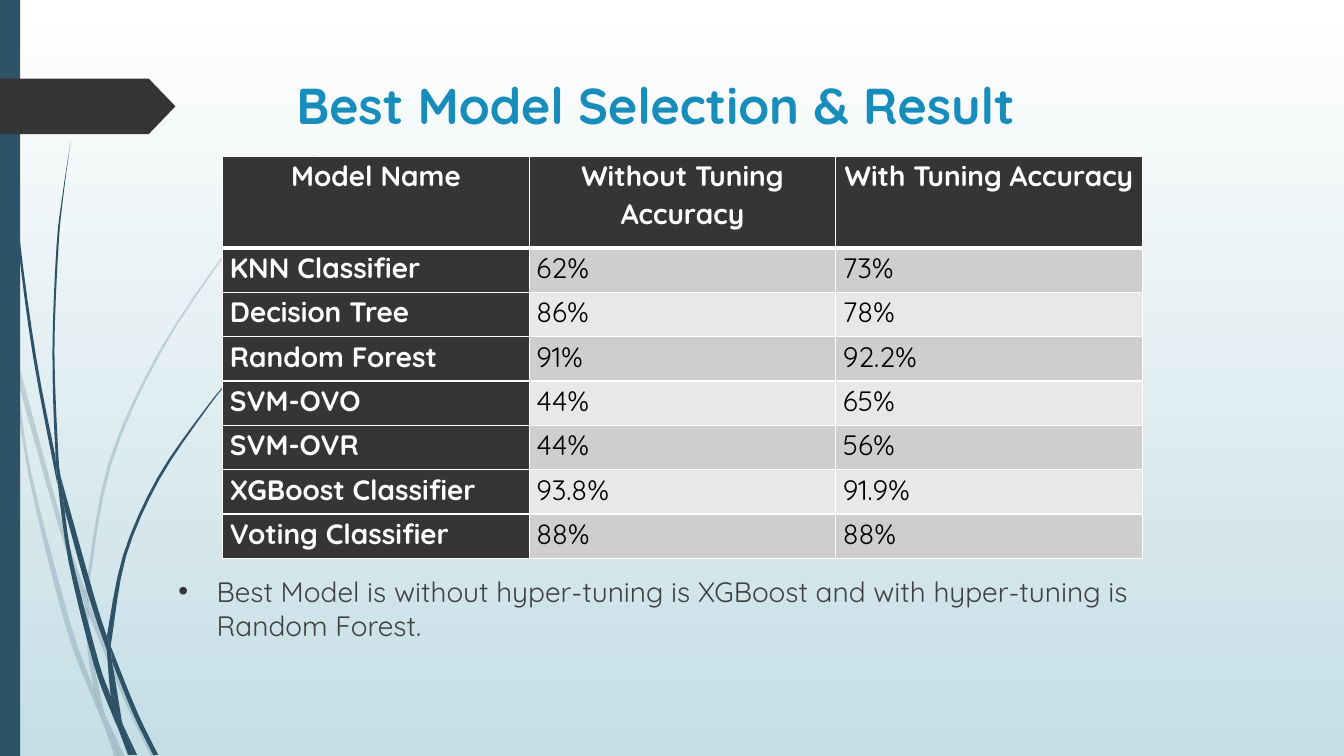
from lxml.etree import SubElement
from pptx import Presentation
from pptx.dml.color import RGBColor
from pptx.enum.shapes import MSO_SHAPE
from pptx.enum.text import MSO_ANCHOR, PP_ALIGN
from pptx.oxml.ns import qn
from pptx.util import Inches, Pt

# Content
TITLE = "Best Model Selection & Result"
CONCLUSION = ("Best Model is without hyper-tuning is XGBoost "
              "and with hyper-tuning is Random Forest.")
RESULTS = [
    ("Model Name", "Without Tuning Accuracy", "With Tuning Accuracy"),
    ("KNN Classifier", "62%", "73%"),
    ("Decision Tree", "86%", "78%"),
    ("Random Forest", "91%", "92.2%"),
    ("SVM-OVO", "44%", "65%"),
    ("SVM-OVR", "44%", "56%"),
    ("XGBoost Classifier", "93.8%", "91.9%"),
    ("Voting Classifier", "88%", "88%"),
]
FONT = "Quicksand"
COLORS = {
    "white": "FFFFFF", "mist": "C5DEE5", "navy": "2E5369", "charcoal": "353535",
    "title": "178DBB", "body": "404040", "black": "000000",
    "odd_row": "CECECE", "even_row": "E8E8E8",
}

# Grass blade pieces: (left edge, right edge), each from top to bottom, in inches
PALE_PIECES = [
    ([(0, 2.99), (0.1, 3.44), (0.11, 3.5)], [(0, 2.82), (0.09, 3.22), (0.11, 3.5)]),
    ([(0.17, 3.76), (0.58, 5.22), (0.84, 5.99)],
     [(0.14, 3.45), (0.62, 5.2), (0.85, 5.86)]),
    ([(0.88, 6.1), (1.23, 6.94), (1.5, 7.51)],
     [(0.88, 5.96), (0.92, 6.07), (1.27, 6.92), (1.55, 7.51)]),
    ([(1.05, 7.11), (1.19, 7.51)], [(1.05, 7.11), (1.24, 7.51)]),
    ([(0.11, 3.5), (0.28, 4.7), (0.65, 6.21), (0.92, 6.93), (1.01, 7.14)],
     [(0.11, 3.5), (0.17, 3.76), (0.31, 4.69), (0.7, 6.19), (0.93, 6.83), (0.99, 7.07)]),
    ([(0.84, 5.99), (0.87, 6.46), (0.93, 6.83), (0.96, 6.92), (1.05, 7.11)],
     [(0.88, 6.08), (0.88, 6.1), (0.91, 6.46), (1.03, 7.06)]),
    ([(3.12, 1.53), (2.89, 1.75), (2.68, 1.97), (2.28, 2.44), (1.58, 3.48),
      (1.07, 4.61), (0.85, 5.84), (0.85, 5.86)],
     [(3.12, 1.54), (2.9, 1.75), (2.68, 1.98), (2.29, 2.45), (1.6, 3.49),
      (1.1, 4.62), (0.88, 5.84), (0.88, 5.96)]),
    ([(1.01, 7.14), (1.14, 7.51)], [(1.01, 7.14), (1.19, 7.51)]),
    ([(0.85, 5.86), (0.84, 5.99)], [(0.88, 5.96), (0.88, 6.1)]),
    ([(0.93, 6.83), (0.99, 7.07), (1.01, 7.14), (1.19, 7.51)],
     [(0.93, 6.83), (0.96, 6.92), (1.05, 7.11), (1.19, 7.51)]),
]
DARK_PIECES = [
    ([(0.03, 0), (0.04, 0.48), (0.07, 1.1), (0.17, 2.33), (0.33, 3.55), (0.57, 4.81)],
     [(0.04, 0), (0.05, 0.48), (0.08, 1.09), (0.19, 2.32), (0.36, 3.55), (0.55, 4.53)]),
    ([(0.64, 5.05), (0.88, 5.92), (1.06, 6.45)],
     [(0.6, 4.72), (0.93, 5.9), (1.06, 6.31)]),
    ([(1.11, 6.56), (1.32, 7.08), (1.52, 7.49)],
     [(1.1, 6.41), (1.13, 6.49), (1.36, 7.06), (1.57, 7.49)]),
    ([(0.57, 4.77), (0.68, 5.57), (0.93, 6.59), (1.11, 7.08), (1.17, 7.22)],
     [(0.64, 5.05), (0.72, 5.56), (0.98, 6.57), (1.1, 6.91), (1.16, 7.17)]),
    ([(0.7, 1.41), (0.62, 1.93), (0.56, 2.45), (0.52, 3.49), (0.55, 4.49), (0.6, 4.72)],
     [(0.7, 1.41), (0.63, 1.93), (0.58, 2.45), (0.54, 3.49), (0.58, 4.53), (0.6, 4.72)]),
    ([(1.22, 7.19), (1.33, 7.49)], [(1.22, 7.19), (1.36, 7.49)]),
    ([(0.55, 4.49), (0.57, 4.77), (0.64, 5.05)], [(0.55, 4.49), (0.6, 4.72), (0.64, 5.05)]),
    ([(2.6, 3.44), (2.31, 3.73), (2.04, 4.05), (1.56, 4.74), (1.22, 5.51), (1.06, 6.31)],
     [(2.61, 3.44), (2.31, 3.74), (2.05, 4.06), (1.58, 4.76), (1.25, 5.52),
      (1.11, 6.33), (1.1, 6.41)]),
    ([(1.17, 7.22), (1.27, 7.49)], [(1.17, 7.22), (1.31, 7.49)]),
    ([(1.06, 6.45), (1.1, 6.91), (1.16, 7.06), (1.22, 7.19)],
     [(1.06, 6.45), (1.11, 6.56), (1.21, 7.16)]),
    ([(1.06, 6.31), (1.06, 6.45)], [(1.1, 6.41), (1.11, 6.56)]),
    ([(1.1, 6.91), (1.17, 7.22), (1.3, 7.49)],
     [(1.1, 6.91), (1.16, 7.06), (1.22, 7.19), (1.33, 7.49)]),
]


def color(name):
    return RGBColor.from_string(COLORS[name])


def paint(shape, name):
    shape.shadow.inherit = False
    shape.fill.solid()
    shape.fill.fore_color.rgb = color(name)
    shape.line.fill.background()


def smooth(points, steps=4):
    """Sample a Catmull-Rom curve through the points."""
    if len(points) == 2:
        return points
    padded = [points[0], *points, points[-1]]
    curve = [points[0]]
    for a, b, c, d in zip(padded, padded[1:], padded[2:], padded[3:]):
        for step in range(1, steps + 1):
            t = step / steps
            curve.append(tuple(
                (2 * q + (r - p) * t + (2 * p - 5 * q + 4 * r - s) * t ** 2
                 + (3 * q - p - 3 * r + s) * t ** 3) / 2
                for p, q, r, s in zip(a, b, c, d)))
    return curve


def add_piece(left_edge, right_edge, opacity):
    outline = [(Inches(x), Inches(y)) for x, y in smooth(left_edge) + smooth(right_edge)[::-1]]
    builder = slide.shapes.build_freeform(*outline[0])
    builder.add_line_segments(outline[1:], close=True)
    piece = builder.convert_to_shape()
    paint(piece, "navy")
    if opacity < 100:
        tint = piece.fill._xPr.find(qn("a:solidFill"))[0]
        SubElement(tint, qn("a:alpha"), val=str(opacity * 1000))


def add_span(para, text, size, name, bold=False):
    span = para.add_run()
    span.text = text
    span.font.name = FONT
    span.font.size = Pt(size)
    span.font.bold = bold
    span.font.color.rgb = color(name)


def add_box(left, top, width, height):
    box = slide.shapes.add_textbox(Inches(left), Inches(top), Inches(width), Inches(height))
    box.text_frame.word_wrap = True
    return box.text_frame.paragraphs[0]


def add_borders(cell, bottom_width):
    properties = cell._tc.get_or_add_tcPr()
    widths = {"a:lnL": 1, "a:lnR": 1, "a:lnT": 1, "a:lnB": bottom_width}
    for position, (side, width) in enumerate(widths.items()):
        line = properties.makeelement(qn(side), {"w": str(Pt(width))})
        SubElement(SubElement(line, qn("a:solidFill")), qn("a:srgbClr"), val=COLORS["white"])
        properties.insert(position, line)


# Deck and background
deck = Presentation()
deck.slide_width, deck.slide_height = Inches(13.33), Inches(7.5)
slide = deck.slides.add_slide(deck.slide_layouts[6])
background = slide.background.fill
background.gradient()
background.gradient_angle = 270
for stop, name, position in zip(background.gradient_stops, ("white", "mist"), (0, 1)):
    stop.color.rgb = color(name)
    stop.position = position

# Side decoration
for pieces, opacity in ((PALE_PIECES, 20), (DARK_PIECES, 100)):
    for left_edge, right_edge in pieces:
        add_piece(left_edge, right_edge, opacity)
band = slide.shapes.add_shape(MSO_SHAPE.RECTANGLE, 0, 0, Inches(0.2), deck.slide_height)
paint(band, "navy")
marker = slide.shapes.add_shape(MSO_SHAPE.PENTAGON, 0, Inches(0.78), Inches(1.74), Inches(0.55))
marker.adjustments[0] = 0.48
paint(marker, "charcoal")

# Title and conclusion
add_span(add_box(2.84, 0.69, 9.75, 1.4), TITLE, 36, "title", bold=True)
para = add_box(1.67, 5.65, 10.57, 1.74)
para.space_before = Pt(10)
add_span(para, CONCLUSION, 20, "body")
indent = para._p.get_or_add_pPr()
indent.set("marL", str(Inches(0.38)))
indent.set("indent", str(Inches(-0.38)))
bullet_color = SubElement(indent, qn("a:buClr"))
SubElement(bullet_color, qn("a:srgbClr"), val=COLORS["charcoal"])
SubElement(indent, qn("a:buFont"), typeface="Arial")
SubElement(indent, qn("a:buChar"), char="•")

# Results table
table = slide.shapes.add_table(len(RESULTS), len(RESULTS[0]), Inches(2.21), Inches(1.55),
                               Inches(9.12), Inches(3.99)).table
for column in table.columns:
    column.width = Inches(3.04)
for row_index, values in enumerate(RESULTS):
    is_header = row_index == 0
    table.rows[row_index].height = Inches(0.91 if is_header else 0.44)
    for column_index, value in enumerate(values):
        is_label = is_header or column_index == 0
        cell = table.cell(row_index, column_index)
        cell.margin_left = cell.margin_right = Inches(0.07)
        cell.margin_top = cell.margin_bottom = 0
        cell.vertical_anchor = MSO_ANCHOR.TOP
        cell.fill.solid()
        row_fill = "odd_row" if row_index % 2 else "even_row"
        cell.fill.fore_color.rgb = color("charcoal" if is_label else row_fill)
        add_borders(cell, 3 if is_header else 1)
        para = cell.text_frame.paragraphs[0]
        para.alignment = PP_ALIGN.CENTER if is_header else PP_ALIGN.JUSTIFY
        para.line_spacing = 1.07
        para.space_before = Pt(12)
        add_span(para, value, 20, "white" if is_label else "black", bold=is_label)

deck.save("out.pptx")
